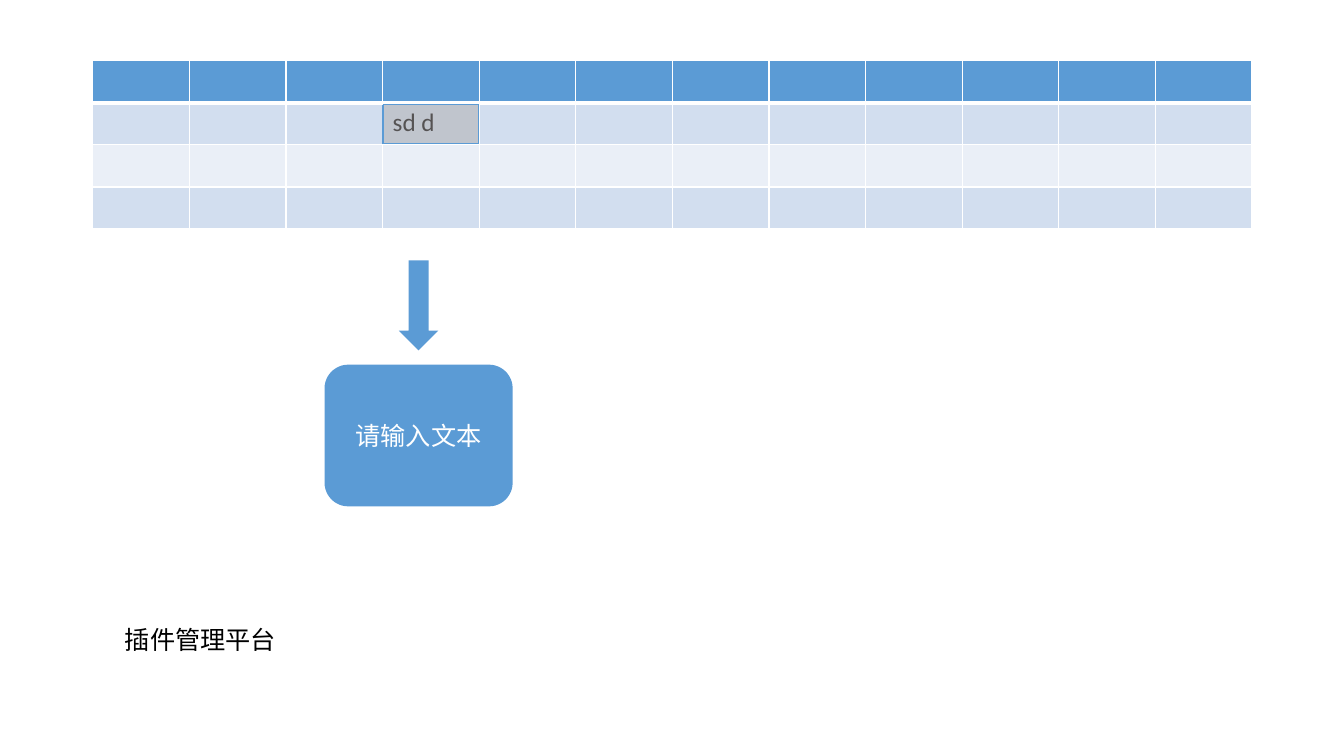
from lxml.etree import SubElement
from pptx import Presentation
from pptx.dml.color import RGBColor
from pptx.enum.shapes import MSO_CONNECTOR, MSO_SHAPE
from pptx.enum.text import MSO_ANCHOR, MSO_AUTO_SIZE, PP_ALIGN
from pptx.oxml.ns import qn
from pptx.util import Cm, Pt

BLUE, WHITE, BLACK, GREY = "5B9BD5", "FFFFFF", "000000", "AFABAB"
BANDS = [BLUE, "D2DEEF", "EAEFF7", "D2DEEF"]
COLS = 12


def rgb(value):
    return RGBColor.from_string(value)


def write(tf, text, color, align=PP_ALIGN.LEFT):
    p = tf.paragraphs[0]
    p.alignment = align
    r = p.add_run()
    r.text = text
    for name, value in {"size": Pt(18), "name": "Calibri"}.items():
        setattr(r.font, name, value)
    r.font.color.rgb = rgb(color)


def add_block(s, kind, box, color):
    sp = s.shapes.add_shape(kind, *map(Cm, box))
    sp.shadow.inherit = False
    sp.fill.solid()
    sp.fill.fore_color.rgb = rgb(color)
    sp.line.fill.background()
    return sp


def add_line(s, x1, y1, x2, y2):
    sp = s.shapes.add_connector(MSO_CONNECTOR.STRAIGHT, *map(Cm, (x1, y1, x2, y2)))
    sp.line.color.rgb = rgb(BLUE)
    sp.line.width = Pt(1)
    SubElement(sp._element.spPr, qn("a:effectLst"))


def set_borders(cell, widths):
    tcPr = cell._tc.get_or_add_tcPr()
    for side, width in widths.items():
        ln = SubElement(tcPr, qn("a:ln" + side), w=str(Pt(width)))
        SubElement(SubElement(ln, qn("a:solidFill")), qn("a:srgbClr"), val=WHITE)


def draw_table(s, x, y, w, h):
    table = s.shapes.add_table(len(BANDS), COLS, *map(Cm, (x, y, w, h))).table
    table.first_row = table.horz_banding = False
    for col in table.columns:
        col.width = Cm(w / COLS)
    for i, (row, band) in enumerate(zip(table.rows, BANDS)):
        row.height = Cm(h / len(BANDS))
        for cell in row.cells:
            # A thicker rule separates the header from the body
            set_borders(cell, {"L": 1, "R": 1, "T": 3 if i == 1 else 1,
                               "B": 3 if i == 0 else 1})
            cell.fill.solid()
            cell.fill.fore_color.rgb = rgb(band)
    write(table.cell(1, 3).text_frame, "sd d ", BLACK)


def draw_cell_highlight(s, x, y, w, h):
    # Translucent cover
    sp = add_block(s, MSO_SHAPE.RECTANGLE, (x, y, w, h), GREY)
    color = sp._element.spPr.find(qn("a:solidFill"))[0]
    SubElement(color, qn("a:alpha"), val="49000")
    # Outline, one line per side
    corners = [(x, y), (x + w, y), (x + w, y + h), (x, y + h)]
    for start, end in zip(corners, corners[1:] + corners[:1]):
        add_line(s, *start, *end)


def draw_input_step(s, x, y, w, h):
    # Arrow centred above the input box
    arrow_w, arrow_h, box_h = 1, 2.27, 3.57
    add_block(s, MSO_SHAPE.DOWN_ARROW, (x + (w - arrow_w) / 2, y, arrow_w, arrow_h), BLUE)
    sp = add_block(s, MSO_SHAPE.FLOWCHART_ALTERNATE_PROCESS,
                   (x, y + h - box_h, w, box_h), BLUE)
    sp.text_frame.vertical_anchor = MSO_ANCHOR.MIDDLE
    write(sp.text_frame, "请输入文本", WHITE, PP_ALIGN.CENTER)


def draw_caption(s, x, y, w, h):
    tf = s.shapes.add_textbox(*map(Cm, (x, y, w, h))).text_frame
    for name, value in {"word_wrap": False,
                        "auto_size": MSO_AUTO_SIZE.SHAPE_TO_FIT_TEXT}.items():
        setattr(tf, name, value)
    write(tf, "插件管理平台", BLACK)


prs = Presentation()
prs.slide_width, prs.slide_height = Cm(33.87), Cm(19.05)
s = prs.slides.add_slide(prs.slide_layouts[6])
draw_table(s, 2.34, 1.53, 29.21, 4.24)
draw_cell_highlight(s, 9.65, 2.64, 2.41, 0.98)
draw_input_step(s, 8.18, 6.56, 4.74, 6.2)
draw_caption(s, 2.9, 15.6, 4.32, 1.02)
prs.save("out.pptx")
